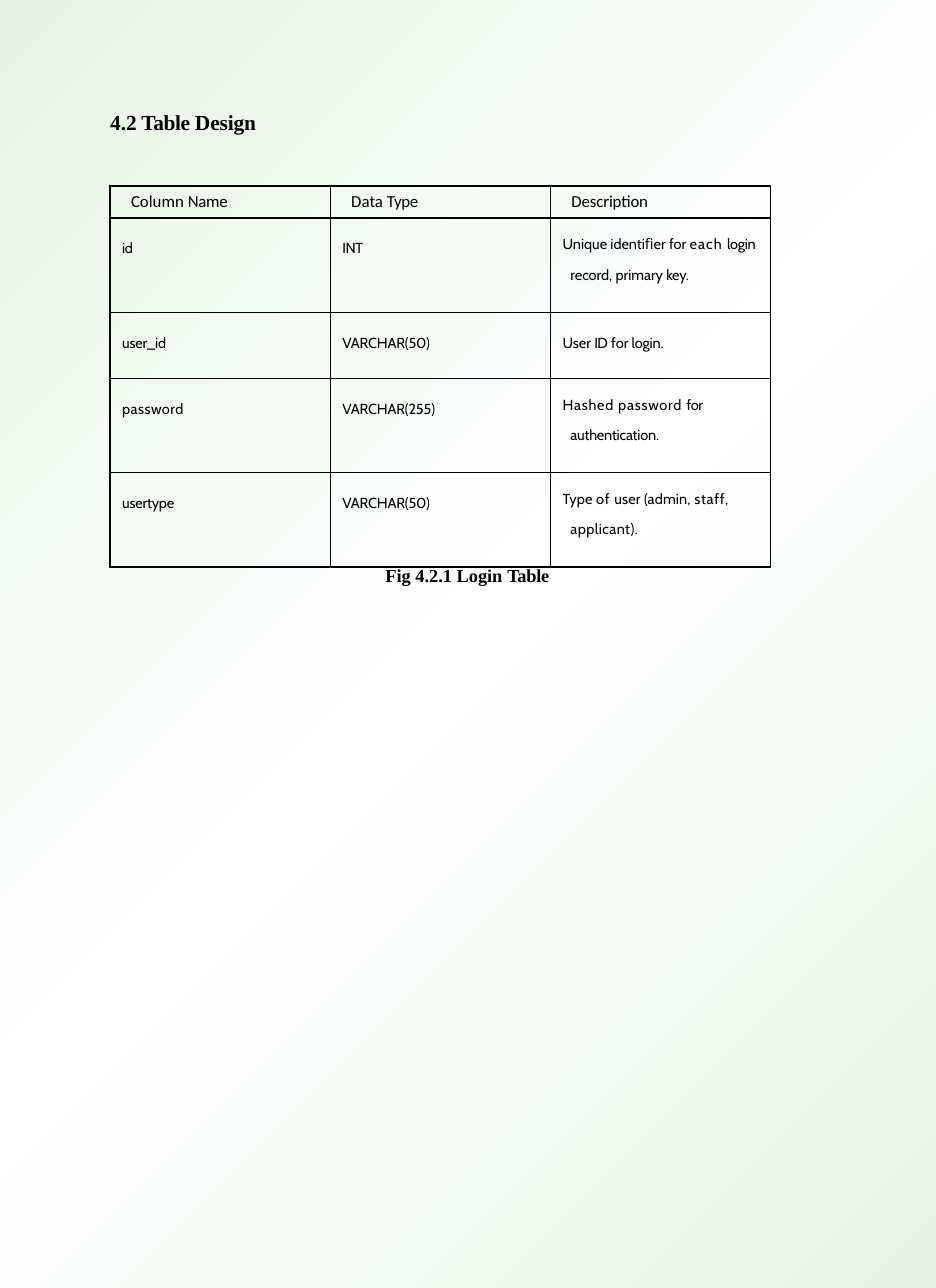
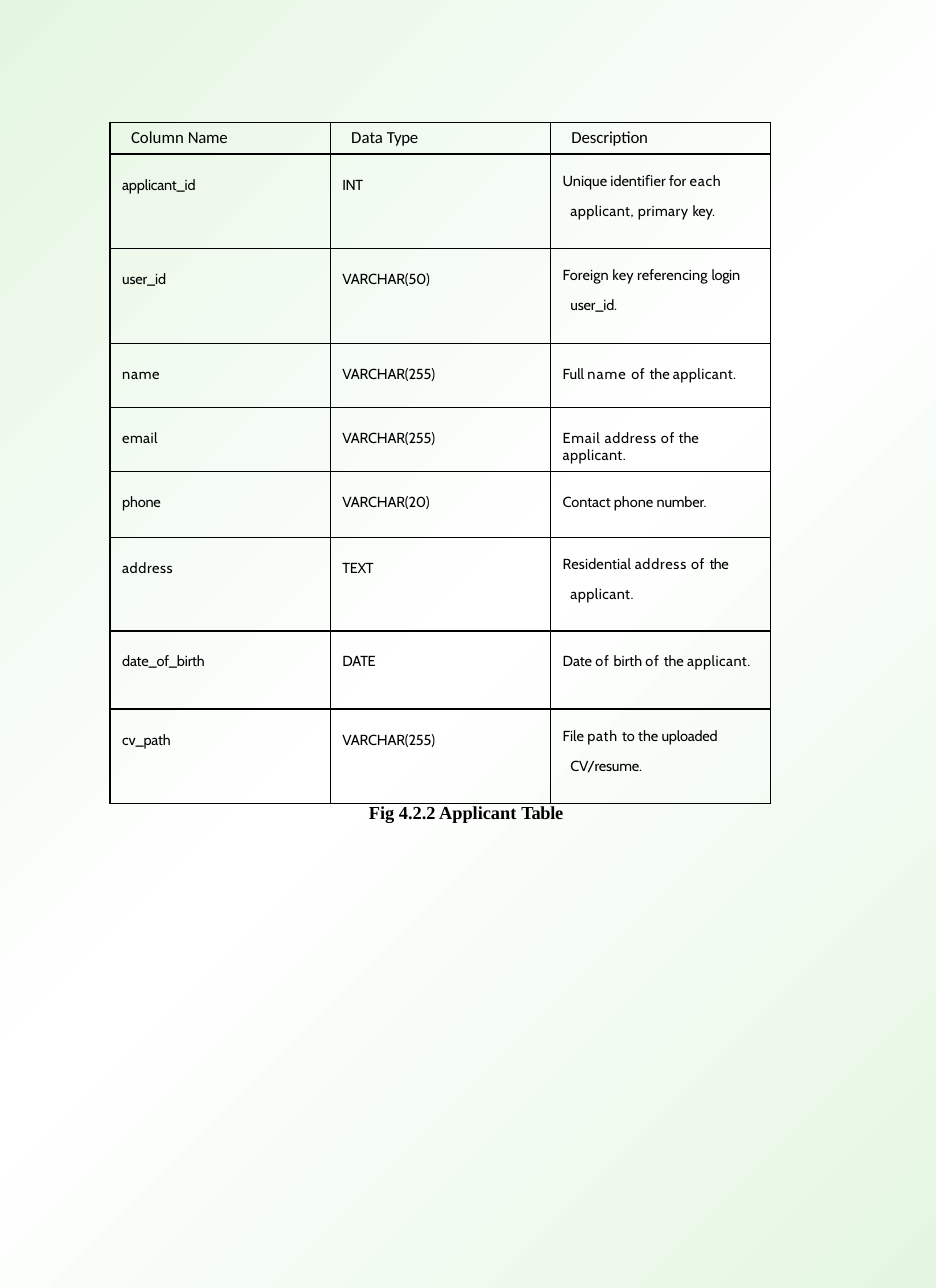
from collections import namedtuple
from copy import deepcopy

from lxml.etree import SubElement
from pptx import Presentation
from pptx.dml.color import RGBColor
from pptx.enum.text import MSO_ANCHOR, MSO_AUTO_SIZE, PP_ALIGN
from pptx.oxml.ns import qn
from pptx.util import Pt

PX = 9144
PAGE_WIDTH, PAGE_HEIGHT = Pt(612), Pt(842)
BLACK = RGBColor(0x00, 0x00, 0x00)
WHITE = RGBColor(0xFF, 0xFF, 0xFF)
MINT = RGBColor(0xE4, 0xF6, 0xE2)
SERIF, HEADER_FONT, BODY_FONT = "Times New Roman", "Calibri", "Cabin"
TITLE_ONLY, BLANK = 5, 6
TABLE_LEFT, COLUMN_WIDTH, HEADER_HEIGHT = 100, 200, 28
BORDER = Pt(0.96)

Row = namedtuple("Row", "height name type description hanging")

HEADER = [
    [("Column ", 0), ("Name", -0.2)],
    [("Data ", 0), ("Type", -0.2)],
    [("Description", -0.1)],
]
LOGIN_ROWS = [
    Row(86, ("id", -0.3), ("INT", -0.3),
        [("Unique identiﬁer for ", 0), ("each ", 0.7), ("login ", -0.2),
         ("record, primary ", 0), ("key.", -0.2)], True),
    Row(60, ("user_id", -0.1), ("VARCHAR(50)", -0.1),
        [("User ", 0), ("ID", -0.4), (" for ", 0), ("login.", -0.1)], False),
    Row(85, ("password", 0.3), ("VARCHAR(255)", -0.1),
        [("Hashed password ", 0.5), ("for ", -0.3),
         ("authentication.", -0.1)], True),
    Row(86, ("usertype", -0.1), ("VARCHAR(50)", -0.1),
        [("Type ", 0.1), ("of ", 0.5), ("user (admin, ", 0.1),
         ("staff, ", 0.5), ("applicant).", 0.3)], True),
]
APPLICANT_ROWS = [
    Row(86, ("applicant_id", -0.1), ("INT", -0.3),
        [("Unique identiﬁer for ", 0), ("each ", 0.5),
         ("applicant, primary ", 0.3), ("key.", -0.2)], True),
    Row(86, ("user_id", -0.1), ("VARCHAR(50)", -0.1),
        [("Foreign key referencing ", 0.1), ("login ", -0.2),
         ("user_id.", -0.1)], True),
    Row(58, ("name", 0.5), ("VARCHAR(255)", -0.1),
        [("Full ", 0), ("name ", 0.7), ("of ", 0.5), ("the ", 0),
         ("applicant.", 0.3)], False),
    Row(58, ("email", 0.3), ("VARCHAR(255)", -0.1),
        [("Email address of", 0.5), (" the ", 0), ("applicant.", 0.3)], False),
    Row(60, ("phone", -0.1), ("VARCHAR(20)", -0.1),
        [("Contact phone ", 0), ("number.", -0.1)], False),
    Row(85, ("address", 0.4), ("TEXT", -0.2),
        [("Residential ", 0.1), ("address of ", 0.5), ("the ", -0.3),
         ("applicant.", 0.3)], True),
    Row(71, ("date_of_birth", -0.1), ("DATE", -0.2),
        [("Date ", 0), ("of ", 0.5), ("birth ", 0), ("of ", 0.5),
         ("the ", 0), ("applicant.", 0.3)], False),
    Row(86, ("cv_path", -0.1), ("VARCHAR(255)", -0.1),
        [("File ", 0), ("path ", 0.5), ("to the ", 0),
         ("uploaded CV/resume.", -0.1)], True),
]


def px(*lengths):
    """Turn px lengths into EMU."""
    return [n * PX for n in lengths]


def set_background(master):
    """Give the master a diagonal mint and white gradient."""
    fill = master.background.fill
    fill.gradient()
    fill.gradient_angle = 315
    gs_list = master.element.xpath(".//p:bg//a:gsLst")[0]
    gs_list.append(deepcopy(gs_list[-1]))
    stops = zip(fill.gradient_stops, (0, 0.5, 1), (MINT, WHITE, MINT))
    for stop, position, color in stops:
        stop.position = position
        stop.color.rgb = color


def write(p, runs, font, size, bold=False):
    """Fill a paragraph with letter-spaced runs in one font."""
    for text, spacing in runs:
        r = p.add_run()
        r.text = text
        r._r.get_or_add_rPr().set("spc", str(round(spacing * 100)))
    p.alignment = PP_ALIGN.LEFT
    p.font.name, p.font.size, p.font.bold = font, Pt(size), bold
    p.font.color.rgb = BLACK


def add_heading(sp, box, runs, size):
    """Place a bold serif line in the given box."""
    sp.left, sp.top, sp.width, sp.height = px(*box)
    tf = sp.text_frame
    tf.word_wrap = True
    tf.auto_size = MSO_AUTO_SIZE.NONE
    tf.vertical_anchor = MSO_ANCHOR.TOP
    (tf.margin_left, tf.margin_top,
     tf.margin_right, tf.margin_bottom) = px(1, 2, 0, 0)
    write(tf.paragraphs[0], runs, SERIF, size, True)


def add_borders(cell):
    """Draw a thin black line on each side of a cell and clear its fill."""
    tc_pr = cell._tc.get_or_add_tcPr()
    for side in ("lnL", "lnR", "lnT", "lnB"):
        ln = SubElement(tc_pr, qn(f"a:{side}"), w=str(BORDER))
        solid = SubElement(ln, qn("a:solidFill"))
        SubElement(solid, qn("a:srgbClr"), val=str(BLACK))
    cell.fill.background()


def fill_cell(cell, runs, font, size, left=11, top=5, hanging=False):
    """Write one table cell with its margins and borders."""
    add_borders(cell)
    cell.margin_left, cell.margin_top = px(left, top)
    p = cell.text_frame.paragraphs[0]
    if hanging:
        p_pr = p._p.get_or_add_pPr()
        p_pr.set("marL", str(7 * PX))
        p_pr.set("indent", str(-7 * PX))
        p.line_spacing = 1.71
    write(p, runs, font, size)


def add_schema_table(s, top, rows):
    """Build a column listing and return its bottom edge."""
    heights = [HEADER_HEIGHT] + [row.height for row in rows]
    columns = len(HEADER)
    box = px(TABLE_LEFT, top, columns * COLUMN_WIDTH, sum(heights))
    table = s.shapes.add_table(len(heights), columns, *box).table
    table.first_row = table.horz_banding = False
    for table_row, height in zip(table.rows, heights):
        table_row.height = height * PX
    for j, runs in enumerate(HEADER):
        fill_cell(table.cell(0, j), runs, HEADER_FONT, 11, left=19)
    for i, row in enumerate(rows, 1):
        for j, runs in enumerate(([row.name], [row.type], row.description)):
            hanging = row.hanging and j == columns - 1
            fill_cell(table.cell(i, j), runs, BODY_FONT, 9.5,
                      top=5 if hanging else 20, hanging=hanging)
    return top + sum(heights)


def add_table_slide(prs, top, rows, caption, caption_left, title=None):
    """Add a slide with a column listing, its caption and perhaps a title."""
    s = prs.slides.add_slide(prs.slide_layouts[TITLE_ONLY if title else BLANK])
    if title:
        add_heading(s.shapes.title, (99, 97, 139, 25), title, 14)
    bottom = add_schema_table(s, top, rows)
    box = (caption_left, bottom - 4, 182, 21)
    add_heading(s.shapes.add_textbox(*px(*box)), box,
                [(caption, 0), ("Table", -0.2)], 12)


def main():
    """Build and save the presentation."""
    prs = Presentation()
    prs.slide_width, prs.slide_height = PAGE_WIDTH, PAGE_HEIGHT
    set_background(prs.slide_master)
    add_table_slide(prs, 169, LOGIN_ROWS, "Fig 4.2.1 Login ", 349,
                    [("4.2", 0), (" Table ", -0.3), ("Design", -0.1)])
    add_table_slide(prs, 111, APPLICANT_ROWS, "Fig 4.2.2 Applicant ", 334)
    prs.save("out.pptx")


if __name__ == "__main__":
    main()
